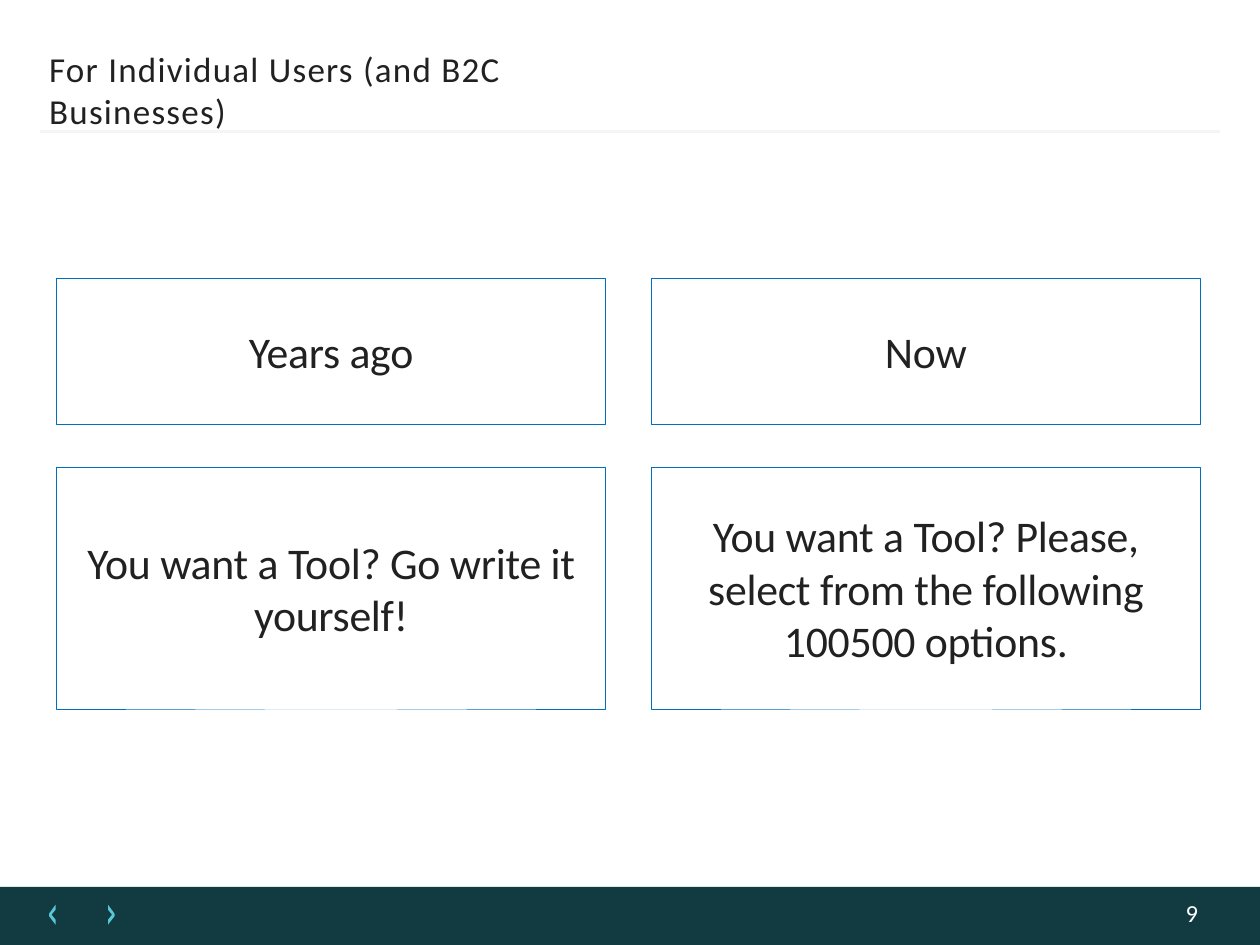
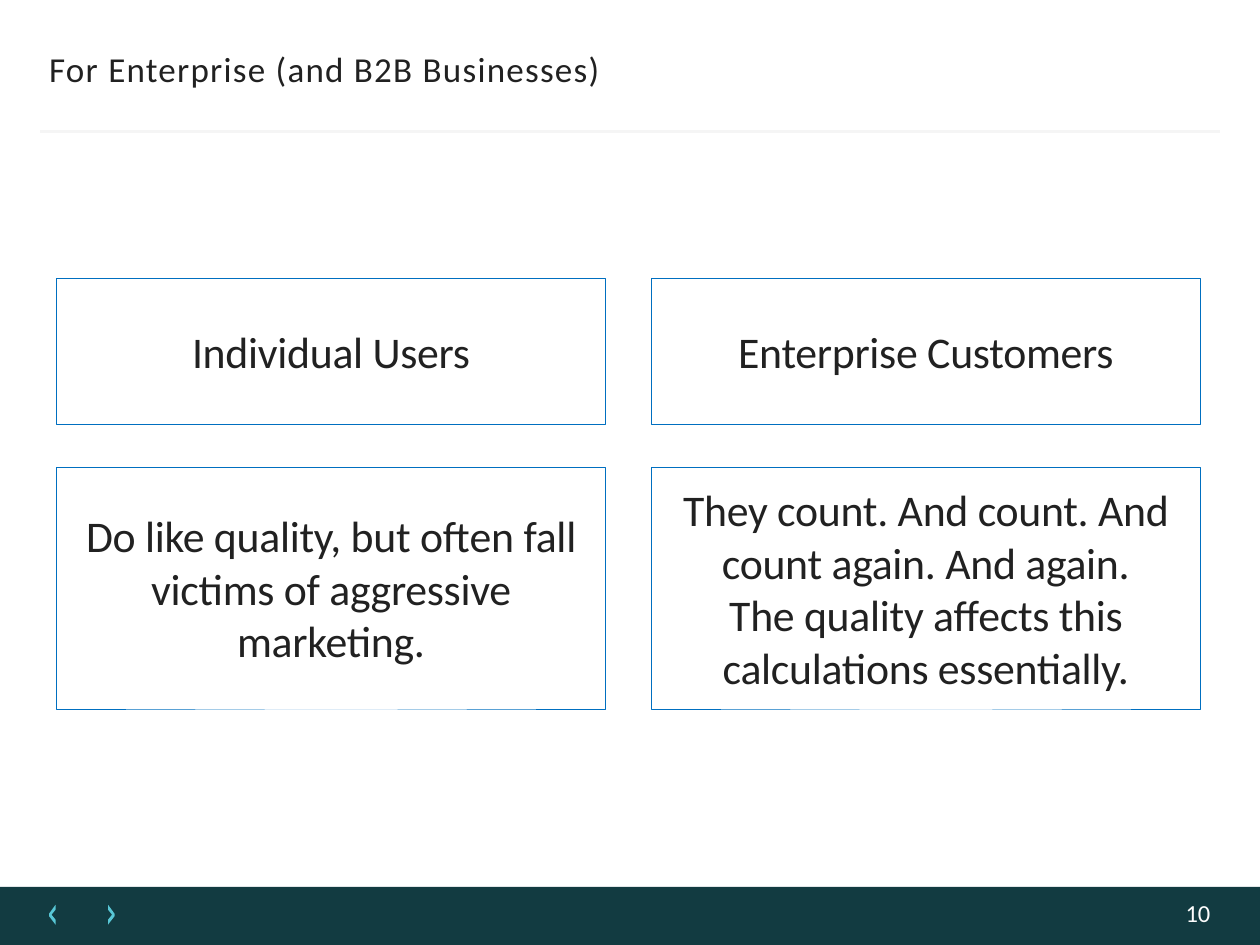
from lxml import etree
from pptx import Presentation
from pptx.dml.color import RGBColor
from pptx.enum.shapes import MSO_CONNECTOR, MSO_SHAPE
from pptx.enum.text import MSO_ANCHOR, MSO_AUTO_SIZE, PP_ALIGN
from pptx.oxml.ns import qn
from pptx.util import Cm, Pt

STRAIGHT = MSO_CONNECTOR.STRAIGHT
RECTANGLE = MSO_SHAPE.RECTANGLE
TOP, MIDDLE = MSO_ANCHOR.TOP, MSO_ANCHOR.MIDDLE
LEFT, CENTER = PP_ALIGN.LEFT, PP_ALIGN.CENTER
NO_AUTOSIZE = MSO_AUTO_SIZE.NONE

INK = RGBColor(0x21, 0x21, 0x21)
CARD_BORDER = RGBColor(0x00, 0x6F, 0xC0)
BAND = RGBColor(0x12, 0x3B, 0x41)
ARROWS = RGBColor(0x58, 0xC7, 0xD6)
RULE = RGBColor(0xF5, 0xF5, 0xF5)
PAGE_NUMBER = RGBColor(0xFD, 0xFD, 0xFD)
FONT = "Calibri"

# Each column is a heading followed by the paragraphs of its statement.
SLIDES = [
    {
        "page": 9,
        "title": "For Individual Users (and B2C Businesses)",
        "columns": [
            ("Years ago", ["You want a Tool? Go write it yourself!"]),
            ("Now", ["You want a Tool? Please, select from the following 100500 options."]),
        ],
    },
    {
        "page": 10,
        "title": "For Enterprise (and B2B Businesses)",
        "columns": [
            ("Individual Users",
             ["Do like quality, but often fall victims of aggressive marketing."]),
            ("Enterprise Customers",
             ["They count. And count. And count again. And again.",
              "The quality affects this calculations essentially."]),
        ],
    },
]

SLIDE_WIDTH, SLIDE_HEIGHT = Cm(25.4), Cm(19.05)
BAND_TOP = Cm(17.88)
CARD_LEFT, CARD_WIDTH, COLUMN_STEP = Cm(1.14), Cm(11.07), Cm(11.99)
HEADING_TOP, HEADING_HEIGHT = Cm(5.61), Cm(2.95)
STATEMENT_TOP, STATEMENT_HEIGHT = Cm(9.41), Cm(4.88)
CARD_PADDING = Cm(0.45)

# Left arrow outline in centimetres; the right one mirrors it.
ARROW_OUTLINE = [(1.12, 18.24), (0.99, 18.42), (0.99, 18.47), (1.12, 18.64),
                 (1.12, 18.54), (1.04, 18.44), (1.12, 18.34)]
ARROW_MIRROR = 3.3


def set_frame(frame, anchor, side_margin=0):
    frame.margin_left = frame.margin_right = side_margin
    frame.margin_top = frame.margin_bottom = 0
    frame.word_wrap = True
    frame.auto_size = NO_AUTOSIZE
    frame.vertical_anchor = anchor


def add_run(paragraph, text, size, color, tracking=0):
    """Add a run; tracking is letter spacing in hundredths of a point."""
    run = paragraph.add_run()
    run.text = text
    run.font.name = FONT
    run.font.size = Pt(size)
    run.font.color.rgb = color
    if tracking:
        run._r.get_or_add_rPr().set("spc", str(tracking))


def fill_plain(shape, color):
    shape.shadow.inherit = False
    shape.fill.solid()
    shape.fill.fore_color.rgb = color
    shape.line.fill.background()


def add_title(slide, text):
    title = slide.shapes.title
    title.left, title.top, title.width, title.height = Cm(0.99), Cm(0.95), Cm(12.5), Cm(0.9)
    set_frame(title.text_frame, TOP)
    paragraph = title.text_frame.paragraphs[0]
    paragraph.alignment = LEFT
    add_run(paragraph, text, 20, INK, 72)


def add_arrows(slide):
    left = [(Cm(x), Cm(y)) for x, y in ARROW_OUTLINE]
    right = [(Cm(ARROW_MIRROR - x), Cm(y)) for x, y in ARROW_OUTLINE]
    builder = slide.shapes.build_freeform(*left[0])
    builder.add_line_segments(left[1:], close=True)
    builder.move_to(*right[0])
    builder.add_line_segments(right[1:], close=True)
    fill_plain(builder.convert_to_shape(), ARROWS)


def add_frame_parts(slide, page):
    """Draw the footer band, its arrows and page number, and the title rule."""
    band = slide.shapes.add_shape(RECTANGLE, 0, BAND_TOP, SLIDE_WIDTH, SLIDE_HEIGHT - BAND_TOP)
    fill_plain(band, BAND)
    add_arrows(slide)

    rule = slide.shapes.add_connector(STRAIGHT, Cm(0.81), Cm(2.65), Cm(24.59), Cm(2.65))
    rule.line.color.rgb = RULE
    rule.line.width = Pt(1.5)
    etree.SubElement(rule._element.spPr, qn("a:effectLst"))

    number = slide.shapes.add_textbox(Cm(23.9), Cm(18.19), Cm(0.8), Cm(0.56))
    set_frame(number.text_frame, TOP)
    paragraph = number.text_frame.paragraphs[0]
    paragraph.line_spacing = Pt(14.3)
    add_run(paragraph, str(page), 14, PAGE_NUMBER)


def add_card(slide, left, top, height, paragraphs):
    card = slide.shapes.add_shape(RECTANGLE, left, top, CARD_WIDTH, height)
    card.shadow.inherit = False
    card.fill.background()
    card.line.color.rgb = CARD_BORDER
    card.line.width = Pt(0.25)
    frame = card.text_frame
    set_frame(frame, MIDDLE, CARD_PADDING)
    for index, text in enumerate(paragraphs):
        paragraph = frame.add_paragraph() if index else frame.paragraphs[0]
        paragraph.alignment = CENTER
        add_run(paragraph, text, 25, INK, -15)


def main():
    prs = Presentation()
    prs.slide_width, prs.slide_height = SLIDE_WIDTH, SLIDE_HEIGHT
    title_only = prs.slide_layouts[5]
    for content in SLIDES:
        slide = prs.slides.add_slide(title_only)
        add_frame_parts(slide, content["page"])
        add_title(slide, content["title"])
        for column, (heading, statement) in enumerate(content["columns"]):
            left = CARD_LEFT + column * COLUMN_STEP
            add_card(slide, left, HEADING_TOP, HEADING_HEIGHT, [heading])
            add_card(slide, left, STATEMENT_TOP, STATEMENT_HEIGHT, statement)
    prs.save("out.pptx")


if __name__ == "__main__":
    main()
